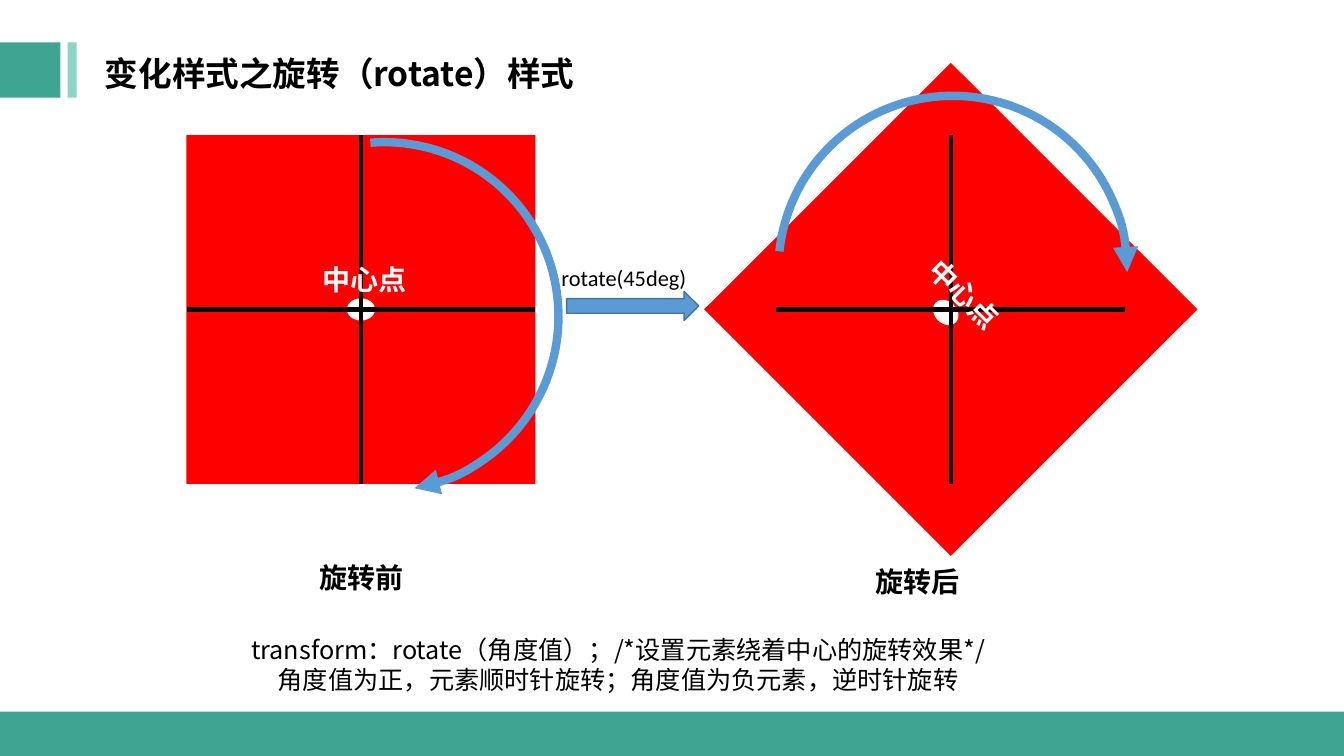
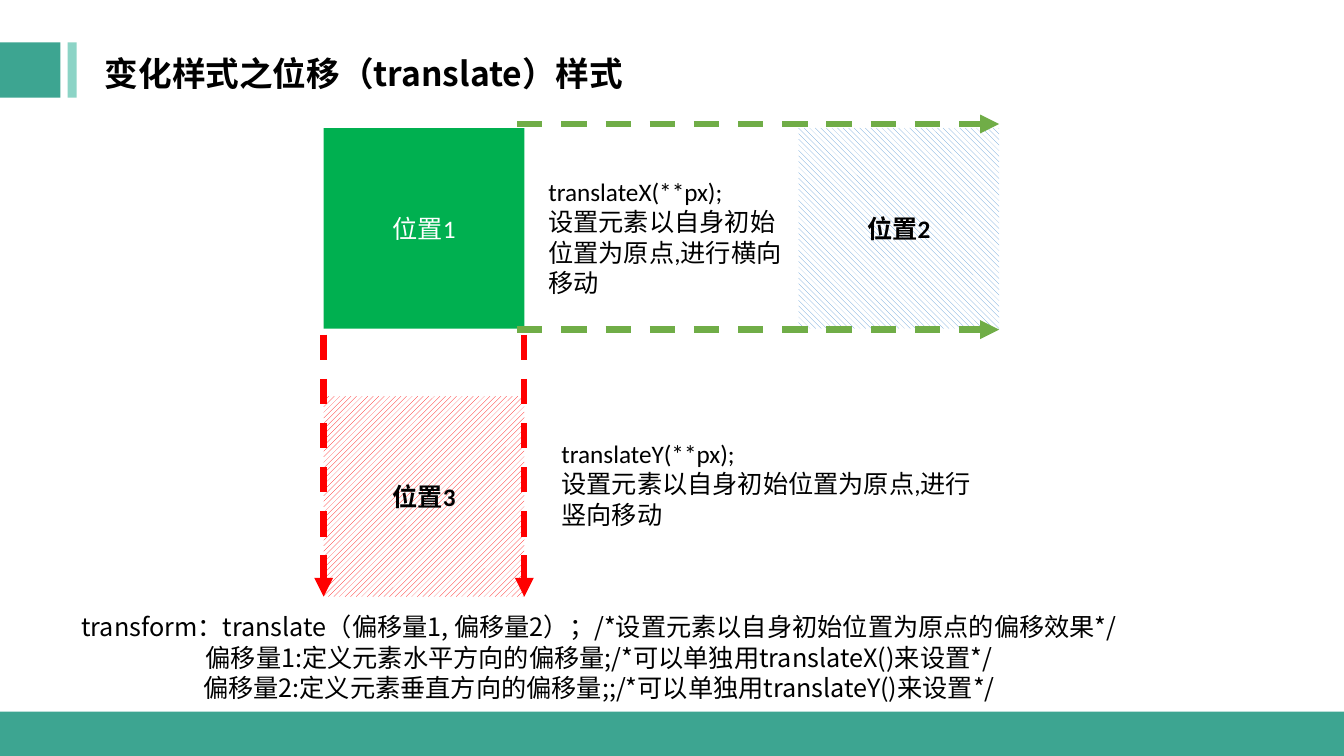
from lxml import etree
from pptx import Presentation
from pptx.dml.color import RGBColor
from pptx.enum.dml import MSO_LINE, MSO_PATTERN
from pptx.enum.shapes import MSO_CONNECTOR, MSO_SHAPE
from pptx.enum.text import MSO_ANCHOR, MSO_AUTO_SIZE, PP_ALIGN
from pptx.oxml.ns import qn
from pptx.util import Inches, Pt

COLORS = {
    "teal": "3DA591", "mint": "8CD4C6", "white": "FFFFFF", "black": "000000",
    "red": "FF0000", "blue": "5B9BD5", "navy": "43739E",
    "green": "00B050", "grass": "70AD47",
}
RGB = {name: RGBColor.from_string(value) for name, value in COLORS.items()}
CJK = "Noto Sans CJK SC"
LEFT, CENTER = PP_ALIGN.LEFT, PP_ALIGN.CENTER
RECT = MSO_SHAPE.RECTANGLE


def add_box(s, kind, at, fill=None, text="", size=18, color="black", bold=False,
            font="Calibri", align=CENTER, anchor=MSO_ANCHOR.MIDDLE, rotation=0):
    """Place a preset shape, or the title or a text box if kind is "title" or "text"."""
    place = [Inches(v) for v in at]
    if kind == "title":
        sp = s.shapes.title
        sp.left, sp.top, sp.width, sp.height = place
    elif kind == "text":
        sp = s.shapes.add_textbox(*place)
        anchor = MSO_ANCHOR.TOP
    else:
        sp = s.shapes.add_shape(kind, *place)
        sp.shadow.inherit = False
        sp.line.fill.background()
        sp.fill.background()
    sp.rotation = rotation
    if fill:
        sp.fill.solid()
        sp.fill.fore_color.rgb = RGB[fill]
    if text:
        tf = sp.text_frame
        tf.text = text
        frame = {"word_wrap": True, "auto_size": MSO_AUTO_SIZE.NONE, "vertical_anchor": anchor}
        for key, value in frame.items():
            setattr(tf, key, value)
        for p in tf.paragraphs:
            p.alignment = align
            for r in p.runs:
                for key, value in {"size": Pt(size), "bold": bold, "name": font}.items():
                    setattr(r.font, key, value)
                r.font.color.rgb = RGB[color]
                etree.SubElement(r.font._element, qn("a:ea"), typeface=CJK)
    return sp


def add_line(s, start, end, color, width, arrow=False, arc=None):
    """Draw a straight line, dashed if it has an arrowhead, or outline the given arc."""
    sp = arc or s.shapes.add_connector(
        MSO_CONNECTOR.STRAIGHT, *[Inches(v) for v in (*start, *end)])
    sp.line.color.rgb = RGB[color]
    sp.line.width = Pt(width)
    if arrow and not arc:
        sp.line.dash_style = MSO_LINE.DASH
    if arrow:
        etree.SubElement(sp.line._get_or_add_ln(), qn("a:tailEnd"), type="triangle")
    if not arc:
        etree.SubElement(sp._element.spPr, qn("a:effectLst"))


prs = Presentation()
prs.slide_width, prs.slide_height = Inches(13.33), Inches(7.5)

# Shared frame
slides = []
for title in ("变化样式之旋转（rotate）样式", "变化样式之位移（translate）样式"):
    s = prs.slides.add_slide(prs.slide_layouts[5])
    add_box(s, "title", (0.94, 0.47, 7.11, 0.5), "white", title, 24,
            bold=True, font=CJK, align=LEFT)
    for at, fill in (((0, 0.42, 0.6, 0.55), "teal"), ((0.67, 0.42, 0.09, 0.55), "mint"),
                     ((0, 7.06, 13.33, 0.44), "teal")):
        add_box(s, RECT, at, fill)
    slides.append(s)
rotate, translate = slides

# Rotation: before and after
s = rotate
arrow = add_box(s, MSO_SHAPE.RIGHT_ARROW, (5.62, 2.89, 1.31, 0.29), "blue")
arrow.line.color.rgb = RGB["navy"]
arrow.line.width = Pt(1)
add_box(s, "text", (5.47, 2.57, 1.55, 0.37), text="rotate(45deg)", size=16, align=LEFT)

side, top = 3.46, 1.34
cy = top + side / 2
states = [
    # left, angle, dot, centre label, caption, caption place, arc place, arc angle
    (1.85, 0, (3.44, 2.96), (2.84, 2.56), "旋转前", (2.81, 5.51), (2.08, 1.41), 355.5),
    (7.7, 45, (9.24, 2.99), (8.79, 2.7), "旋转后", (8.33, 5.55), (7.72, 0.95), 276.2),
]
for left, angle, dot, label, caption, caption_at, arc_at, arc_angle in states:
    cx = left + side / 2
    add_box(s, RECT, (left, top, side, side), "red", rotation=angle)
    add_box(s, MSO_SHAPE.OVAL, (*dot, 0.28, 0.22), "white", rotation=angle)
    add_line(s, (cx, top), (cx, top + side), "black", 3)
    add_line(s, (left, cy), (left + side, cy), "black", 3)
    add_box(s, "text", (*label, 1.55, 0.44), text="中心点", size=20, color="white",
            bold=True, rotation=angle)
    add_box(s, "text", (*caption_at, 1.55, 0.44), text=caption, size=20, bold=True)
    arc = add_box(s, MSO_SHAPE.ARC, (*arc_at, side, side), rotation=arc_angle)
    arc.adjustments[0], arc.adjustments[1] = 162, 50.67
    add_line(s, None, None, "blue", 6, arrow=True, arc=arc)

add_box(s, "text", (0.19, 6.24, 11.88, 0.71), font=CJK,
        text="transform：rotate（角度值）；/*设置元素绕着中心的旋转效果*/\n"
             "角度值为正，元素顺时针旋转；角度值为负元素，逆时针旋转")

# Translation: start, horizontal move, vertical move
s = translate
add_box(s, "text", (0, 6.02, 11.88, 1.31), font=CJK,
        text="transform：translate（偏移量1, 偏移量2）；/*设置元素以自身初始位置为原点的偏移效果*/\n"
             "偏移量1:定义元素水平方向的偏移量;/*可以单独用translateX()来设置*/\n"
             "偏移量2:定义元素垂直方向的偏移量;;/*可以单独用translateY()来设置*/")

tile, x1, y1, x2, y3 = 1.99, 3.21, 1.27, 7.92, 3.93
add_box(s, RECT, (x1, y1, tile, tile), "green", "位置1", color="white")
moved = [
    (x2, y1, "位置2", "blue", MSO_PATTERN.WIDE_DOWNWARD_DIAGONAL),
    (x1, y3, "位置3", "red", MSO_PATTERN.WIDE_UPWARD_DIAGONAL),
]
for x, y, text, color, pattern in moved:
    fill = add_box(s, RECT, (x, y, tile, tile), text=text, bold=True).fill
    fill.patterned()
    fill.pattern = pattern
    fill.fore_color.rgb, fill.back_color.rgb = RGB[color], RGB["white"]

for y in (1.23, 3.27):
    add_line(s, (5.13, y), (x2 + tile, y), "grass", 4.5, arrow=True)
for x in (x1, x1 + tile):
    add_line(s, (x, 3.32), (x, y3 + tile), "red", 4.5, arrow=True)

for at, axis, direction in (((5.34, 1.7, 2.58, 1.31), "X", "横"),
                            ((5.47, 4.3, 4.44, 1.01), "Y", "竖")):
    add_box(s, "text", at, align=LEFT,
            text=f"translate{axis}(**px);\n设置元素以自身初始位置为原点,进行{direction}向移动")

prs.save("out.pptx")
